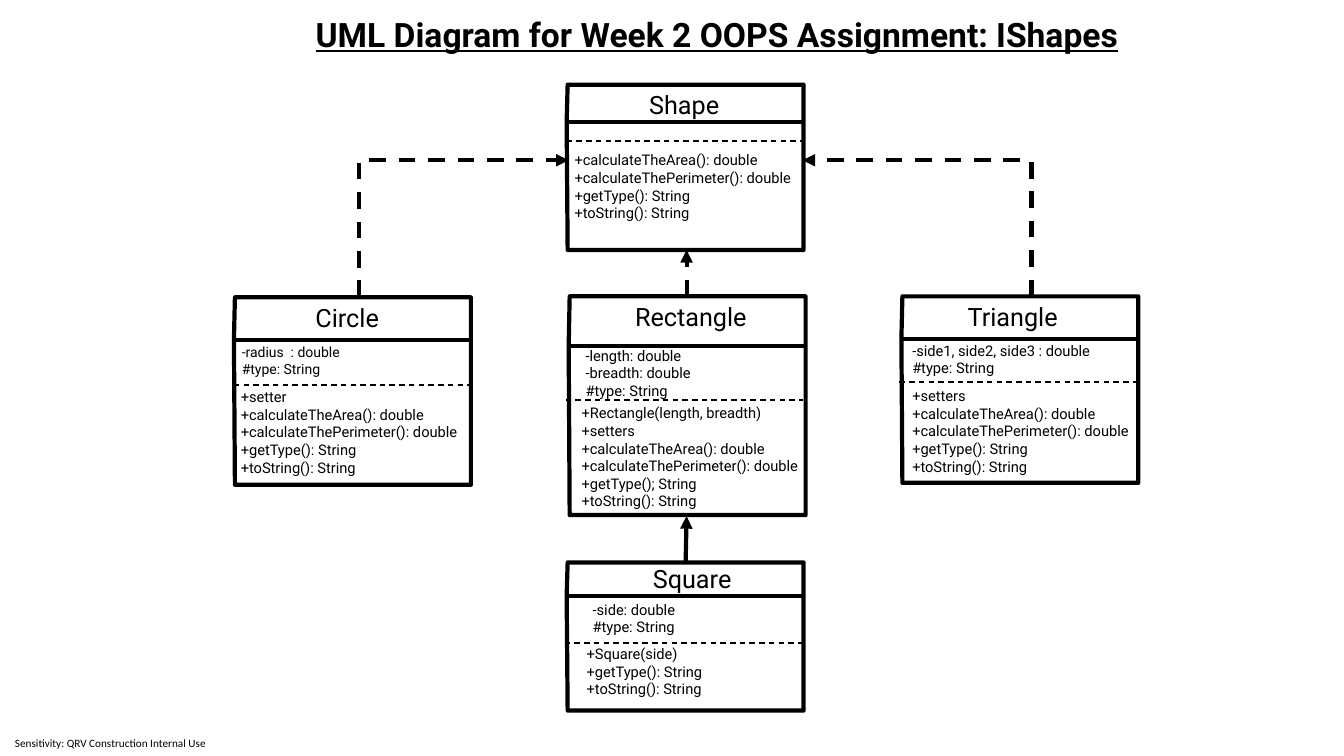
from dataclasses import dataclass

import pptx
import pptx.dml.color
import pptx.enum.dml
import pptx.enum.shapes
import pptx.enum.text
import pptx.oxml
import pptx.oxml.ns
import pptx.util

Inches = pptx.util.Inches
ALIGN = pptx.enum.text.PP_ALIGN
ANCHOR = pptx.enum.text.MSO_ANCHOR
CONNECTOR = pptx.enum.shapes.MSO_CONNECTOR
BLACK = pptx.dml.color.RGBColor(0x00, 0x00, 0x00)
WHITE = pptx.dml.color.RGBColor(0xFF, 0xFF, 0xFF)

CLASS_WIDTH = 2.35
MEMBERS_WIDTH = 2.5
SKEW = 0.01  # the top and bottom left corners sit slightly inside
HEAVY, THIN = 3, 1

SHARED_METHODS = ["+calculateTheArea(): double", "+calculateThePerimeter(): double"]
TYPE_METHODS = ["+getType(): String", "+toString(): String"]


@dataclass
class UmlClass:
    name: str
    left: float
    top: float
    header_bottom: float
    bottom: float
    name_at: tuple
    dash_at: tuple
    methods_at: tuple
    methods: list
    fields_at: tuple = (0, 0)
    fields: tuple = ()
    fields_size: float = 10.5
    name_align: int = ALIGN.LEFT


CLASSES = [
    UmlClass("Shape", 5.62, 0.84, 1.21, 2.48, (6.34, 0.84), (5.62, 1.4),
             (5.6, 1.45), SHARED_METHODS + TYPE_METHODS),
    UmlClass("Circle", 2.32, 2.95, 3.37, 4.81, (3.03, 2.95), (2.32, 3.82),
             (2.29, 3.8), ["+setter"] + SHARED_METHODS + TYPE_METHODS,
             (2.3, 3.36), ("-radius  : double", "#type: String"), 10),
    UmlClass("Rectangle", 5.64, 2.94, 3.43, 5.11, (6.2, 2.94), (5.61, 3.97),
             (5.67, 3.96),
             ["+Rectangle(length, breadth)", "+setters"] + SHARED_METHODS
             + ["+getType(); String", "+toString(): String"],
             (5.71, 3.39), ("-length: double", "-breadth: double", "#type: String")),
    UmlClass("Triangle", 8.94, 2.94, 3.36, 4.79, (9.5, 2.94), (8.92, 3.79),
             (8.95, 3.79), ["+setters"] + SHARED_METHODS + TYPE_METHODS,
             (8.95, 3.34), ("-side1, side2, side3 : double", "#type: String")),
    UmlClass("Square", 5.62, 5.58, 5.91, 7.05, (6.13, 5.54), (5.6, 6.38),
             (5.72, 6.35), ["+Square(side)"] + TYPE_METHODS,
             (5.78, 5.91), ("-side: double", "#type: String"),
             name_align=ALIGN.CENTER),
]


def add_text(shapes, lines, at, extent, size, font="Roboto", align=ALIGN.LEFT,
             anchor=ANCHOR.TOP, bold=False, underline=False):
    label = shapes.add_textbox(*map(Inches, at + extent))
    frame = label.text_frame
    frame.word_wrap = True
    frame.vertical_anchor = anchor
    frame.text = "\n".join(lines)
    for paragraph in frame.paragraphs:
        paragraph.alignment = align
        for run in paragraph.runs:
            run.font.name = font
            run.font.size = pptx.util.Pt(size)
            run.font.color.rgb = BLACK
            run.font.bold = bold
            run.font.underline = underline
    return label


def add_line(shapes, start, end, weight, dashed=False, arrow=False,
             kind=CONNECTOR.STRAIGHT):
    line = shapes.add_connector(kind, *map(Inches, start + end))
    line.line.color.rgb = BLACK
    line.line.width = pptx.util.Pt(weight)
    if dashed:
        line.line.dash_style = pptx.enum.dml.MSO_LINE.DASH
    if arrow:
        pptx.oxml.ns.qn("a:tailEnd")
        tail = line.line._get_or_add_ln().makeelement(
            pptx.oxml.ns.qn("a:tailEnd"), {"type": "triangle"})
        line.line._get_or_add_ln().append(tail)
    properties = line._element.spPr
    properties.append(properties.makeelement(pptx.oxml.ns.qn("a:effectLst"), {}))
    return line


def add_elbow(shapes, start, end):
    """Rise from start, then turn once towards end."""
    run, rise = abs(end[0] - start[0]), abs(end[1] - start[1])
    middle_x, middle_y = (start[0] + end[0]) / 2, (start[1] + end[1]) / 2
    side = 1 if end[0] > start[0] else -1
    # Coordinates before the quarter turn, so run and rise swap places
    dx, dy = side * rise / 2, run / 2
    elbow = add_line(shapes, (middle_x + dx, middle_y + dy),
                     (middle_x - dx, middle_y - dy), HEAVY, dashed=True,
                     arrow=True, kind=CONNECTOR.ELBOW)
    properties = elbow._element.spPr
    quarter_turn = 90 if side > 0 else 270
    properties.find(pptx.oxml.ns.qn("a:xfrm")).set("rot", str(quarter_turn * 60000))
    properties.find(pptx.oxml.ns.qn("a:prstGeom")).set("prst", "bentConnector2")


def add_class(slide, uml):
    shapes = slide.shapes.add_group_shape().shapes
    right = uml.left + CLASS_WIDTH

    # Outline
    corners = [(right, uml.top), (right, uml.bottom),
               (uml.left + SKEW, uml.bottom), (uml.left, uml.header_bottom)]
    builder = shapes.build_freeform(Inches(uml.left + SKEW), Inches(uml.top))
    builder.add_line_segments([(Inches(x), Inches(y)) for x, y in corners])
    outline = builder.convert_to_shape()
    outline.shadow.inherit = False
    outline.fill.solid()
    outline.fill.fore_color.rgb = WHITE
    outline.line.color.rgb = BLACK
    outline.line.width = pptx.util.Pt(HEAVY)

    # Separators
    add_line(shapes, (right, uml.header_bottom), (uml.left, uml.header_bottom), HEAVY)
    dash_x, dash_y = uml.dash_at
    add_line(shapes, uml.dash_at, (dash_x + CLASS_WIDTH, dash_y), THIN, dashed=True)

    # Name, fields and methods
    add_text(shapes, [uml.name], uml.name_at, (1.47, 0.4), 18, align=uml.name_align)
    for at, members, size in ((uml.fields_at, uml.fields, uml.fields_size),
                              (uml.methods_at, uml.methods, 10.5)):
        if members:
            add_text(shapes, members, at,
                     (MEMBERS_WIDTH, 0.1 + 0.18 * len(members)), size)


def main():
    presentation = pptx.Presentation()
    presentation.slide_width = Inches(13.33)
    presentation.slide_height = Inches(7.5)
    slide = presentation.slides.add_slide(presentation.slide_layouts[6])

    # Title and sensitivity label
    add_text(slide.shapes, ["UML Diagram for Week 2 OOPS Assignment: IShapes"],
             (2.62, -0.1), (8.98, 0.88), 24, align=ALIGN.CENTER,
             anchor=ANCHOR.MIDDLE, bold=True, underline=True)
    add_text(slide.shapes, ["Sensitivity: QRV Construction Internal Use"],
             (0.05, 7.25), (2.3, 0.25), 8, font="Calibri", anchor=ANCHOR.MIDDLE)

    # Classes
    for uml in CLASSES:
        add_class(slide, uml)

    # Inheritance arrows
    add_line(slide.shapes, (6.81, 2.94), (6.81, 2.48), HEAVY, dashed=True, arrow=True)
    add_line(slide.shapes, (6.8, 5.58), (6.81, 5.12), HEAVY, arrow=True)
    add_elbow(slide.shapes, (3.56, 2.95), (5.64, 1.59))
    add_elbow(slide.shapes, (10.23, 2.94), (7.96, 1.59))

    presentation.save("out.pptx")


main()
